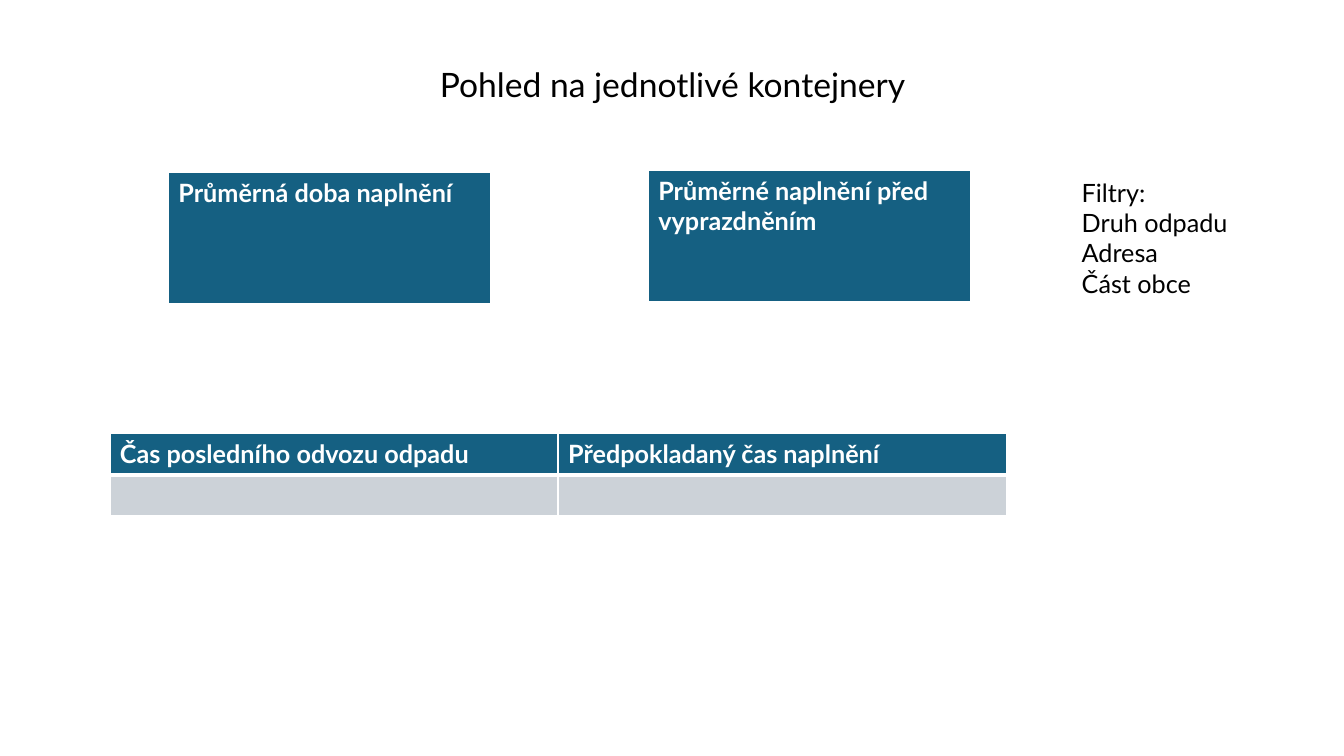
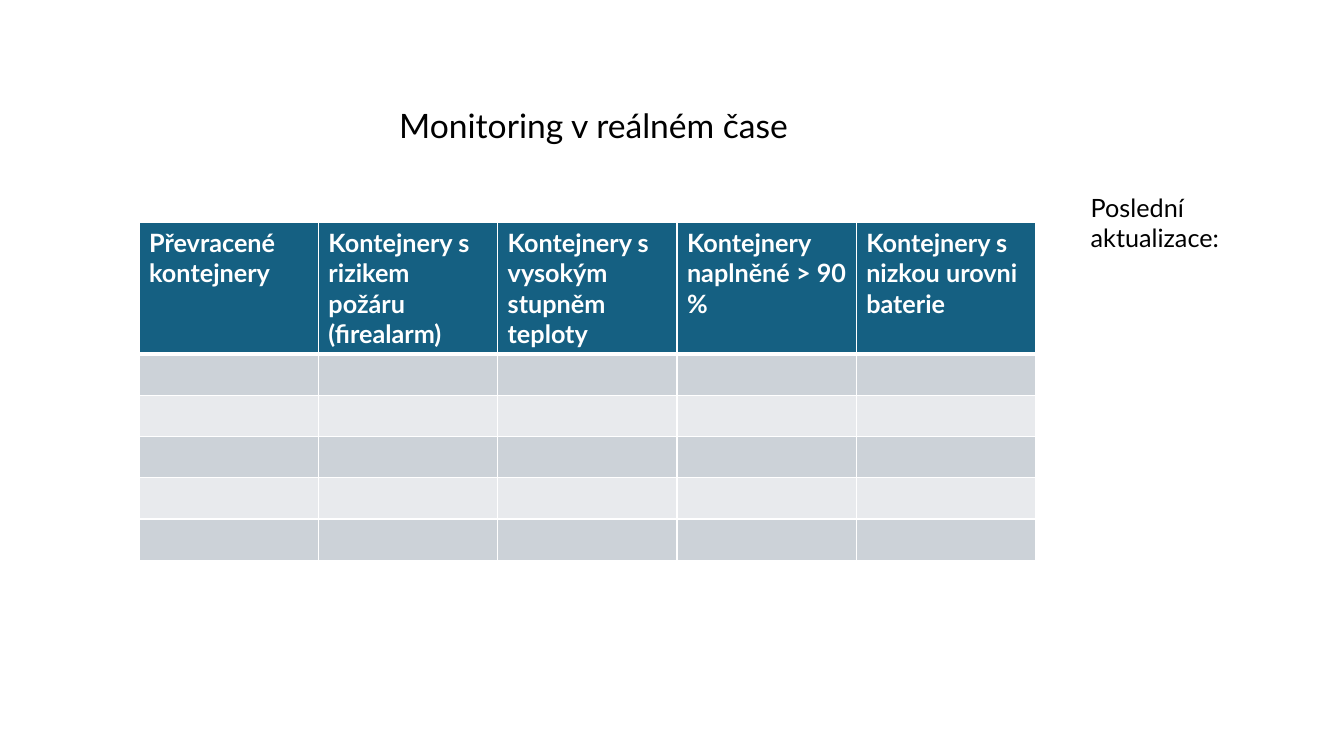
import lxml.etree
import pptx
import pptx.dml.color
import pptx.enum.text
import pptx.oxml.ns
import pptx.util

PX = 9144  # 100 px to the inch
FONT = "Lato"
BLACK = pptx.dml.color.RGBColor(0x00, 0x00, 0x00)
WHITE = pptx.dml.color.RGBColor(0xFF, 0xFF, 0xFF)
HEADER_BLUE = pptx.dml.color.RGBColor(0x15, 0x60, 0x82)
BAND_DARK = pptx.dml.color.RGBColor(0xCC, 0xD2, 0xD8)
BAND_LIGHT = pptx.dml.color.RGBColor(0xE8, 0xEA, 0xED)
TITLE_ONLY = 5
ROW_HEIGHT = 41
TEXT_SIZE = 18
TITLE_SIZE = 24
THIN, THICK = 1, 3


def px(*lengths):
    return [pptx.util.Emu(length * PX) for length in lengths]


def add_span(para, text, color, size=TEXT_SIZE, bold=False):
    span = para.add_run()
    span.text = text
    span.font.name = FONT
    span.font.size = pptx.util.Pt(size)
    span.font.bold = bold
    span.font.color.rgb = color


def add_page(deck, title, left, top, width, height):
    """Add a title-only slide with its title in the given frame."""
    page = deck.slides.add_slide(deck.slide_layouts[TITLE_ONLY])
    box = page.shapes.title
    box.left, box.top, box.width, box.height = px(left, top, width, height)
    frame = box.text_frame
    frame.word_wrap = True
    frame.auto_size = pptx.enum.text.MSO_AUTO_SIZE.NONE
    frame.vertical_anchor = pptx.enum.text.MSO_ANCHOR.TOP
    para = frame.paragraphs[0]
    para.alignment = pptx.enum.text.PP_ALIGN.CENTER
    para.line_spacing = 0.9
    para.space_before = pptx.util.Pt(10)
    add_span(para, title, BLACK, TITLE_SIZE)
    return page


def add_note(page, lines, left, top, width, height):
    box = page.shapes.add_textbox(*px(left, top, width, height))
    frame = box.text_frame
    frame.word_wrap = True
    frame.auto_size = pptx.enum.text.MSO_AUTO_SIZE.SHAPE_TO_FIT_TEXT
    for index, line in enumerate(lines):
        para = frame.add_paragraph() if index else frame.paragraphs[0]
        add_span(para, line, BLACK)


def set_borders(cell, top, bottom):
    """Give the cell white borders; top and bottom are widths in points."""
    properties = cell._tc.get_or_add_tcPr()
    qn = pptx.oxml.ns.qn
    widths = {"a:lnL": THIN, "a:lnR": THIN, "a:lnT": top, "a:lnB": bottom}
    for index, (tag, width) in enumerate(widths.items()):
        line = lxml.etree.Element(qn(tag), w=str(pptx.util.Pt(width)))
        fill = lxml.etree.SubElement(line, qn("a:solidFill"))
        lxml.etree.SubElement(fill, qn("a:srgbClr"), val=str(WHITE))
        properties.insert(index, line)


def add_grid(page, headers, left, top, width, header_height, body_rows=0):
    """Add a table with a blue header and empty banded rows."""
    height = header_height + body_rows * ROW_HEIGHT
    table = page.shapes.add_table(
        body_rows + 1, len(headers), *px(left, top, width, height)).table
    for row_index, row in enumerate(table.rows):
        is_header = row_index == 0
        row.height = px(ROW_HEIGHT if row_index else header_height)[0]
        if is_header:
            color = HEADER_BLUE
        else:
            color = BAND_DARK if row_index % 2 else BAND_LIGHT
        for column, cell in enumerate(row.cells):
            cell.fill.solid()
            cell.fill.fore_color.rgb = color
            set_borders(cell, THICK if row_index == 1 else THIN,
                        THICK if is_header else THIN)
            if is_header:
                add_span(cell.text_frame.paragraphs[0], headers[column],
                         WHITE, bold=True)


def build_containers_page(deck):
    page = add_page(deck, "Pohled na jednotlivé kontejnery", 167, 63, 1000, 61)
    add_grid(page, ["Čas posledního odvozu odpadu", "Předpokladaný čas naplnění"],
             109, 430, 889, ROW_HEIGHT, body_rows=1)
    add_note(page, ["Filtry:", "Druh odpadu", "Adresa", "Část obce"],
             1063, 171, 208, 131)
    add_grid(page, ["Průměrná doba naplnění"], 167, 171, 320, 131)
    add_grid(page, ["Průměrné naplnění před vyprazdněním"], 643, 169, 320, 131)


def build_monitoring_page(deck):
    page = add_page(deck, "Monitoring v reálném čase ", 93, 104, 1000, 82)
    headers = [
        "Převracené kontejnery",
        "Kontejnery s rizikem požáru (firealarm)",
        "Kontejnery s vysokým stupněm teploty",
        "Kontejnery naplněné > 90 %",
        "Kontejnery s nizkou urovni baterie",
    ]
    add_grid(page, headers, 138, 221, 889, 128, body_rows=5)
    add_note(page, ["Poslední aktualizace:"], 1072, 186, 207, 71)


def main():
    deck = pptx.Presentation()
    deck.slide_width, deck.slide_height = px(1333, 750)
    build_containers_page(deck)
    build_monitoring_page(deck)
    deck.save("out.pptx")


if __name__ == "__main__":
    main()
